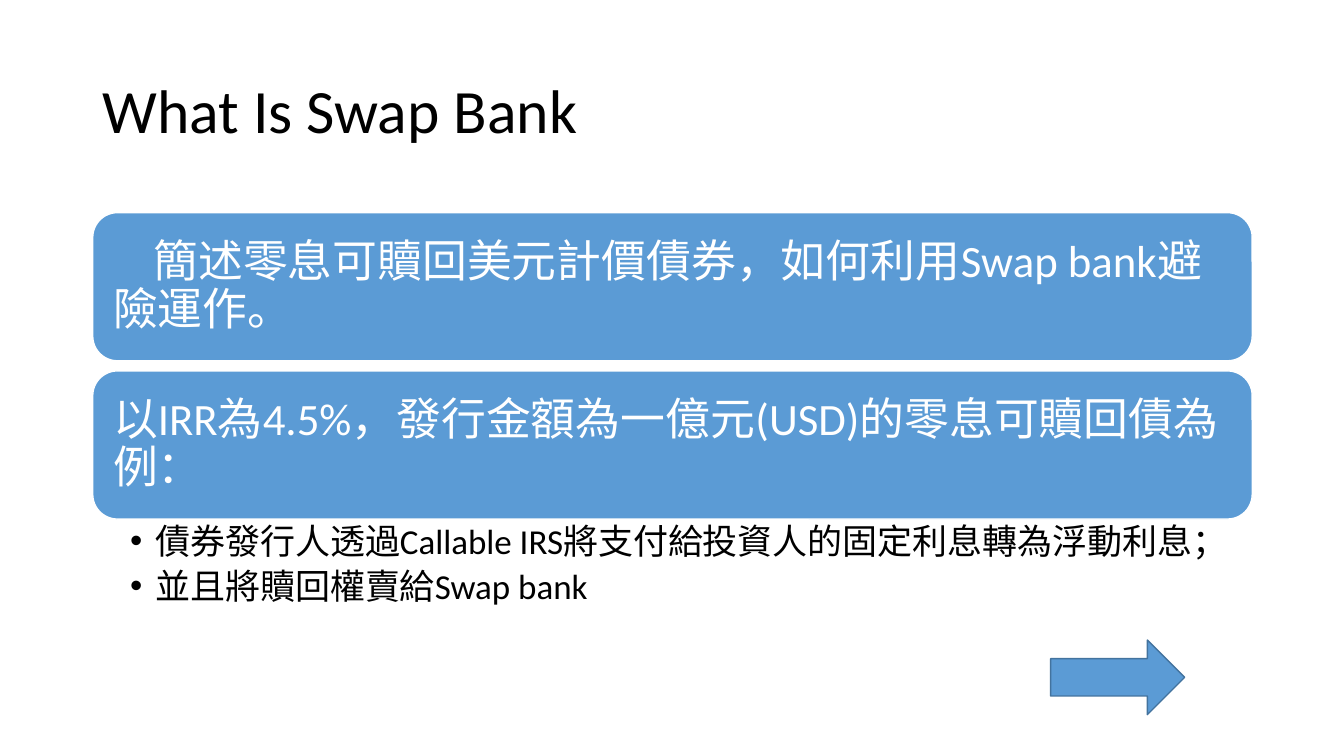
"""Build the slide that explains what a swap bank does."""
from lxml.etree import SubElement
from pptx import Presentation
from pptx.dml.color import RGBColor
from pptx.enum.shapes import MSO_SHAPE as Shape
from pptx.enum.text import MSO_ANCHOR as Anchor, PP_ALIGN as Align
from pptx.oxml.ns import qn
from pptx.util import Inches, Pt

BLACK = RGBColor(0x00, 0x00, 0x00)
WHITE = RGBColor(0xFF, 0xFF, 0xFF)
BLUE = RGBColor(0x5B, 0x9B, 0xD5)
DARK_BLUE = RGBColor(0x43, 0x73, 0x9E)

LEFT, WIDTH = Inches(0.92), Inches(11.5)
CARD_TOP, CARD_HEIGHT, CARD_STEP = Inches(2.11), Inches(1.47), Inches(1.57)
CARD_INSET = Inches(0.13)
BULLET_INDENT = Inches(0.25)

CARDS = [
    ("簡述零息可贖回美元計價債券，如何利用Swap bank避險運作。", Inches(0.4)),
    ("以IRR為4.5%，發行金額為一億元(USD)的零息可贖回債為例：", 0),
]
BULLETS = [
    "債券發行人透過Callable IRS將支付給投資人的固定利息轉為浮動利息；",
    "並且將贖回權賣給Swap bank",
]


def write(para, text, size, color, space_after=0):
    para.alignment = Align.LEFT
    para.line_spacing = 0.9
    para.space_after = Pt(space_after)
    run = para.add_run()
    run.text = text
    run.font.name = "Calibri"
    run.font.size = Pt(size)
    run.font.color.rgb = color


def add_block(kind, left, top, width, height, line_color):
    block = page.shapes.add_shape(kind, left, top, width, height)
    block.shadow.inherit = False
    block.fill.solid()
    block.fill.fore_color.rgb = BLUE
    block.line.color.rgb = line_color
    block.line.width = Pt(1)
    return block


deck = Presentation()
deck.slide_width, deck.slide_height = Inches(13.33), Inches(7.5)
page = deck.slides.add_slide(deck.slide_layouts[6])

title = page.shapes.add_textbox(LEFT, Inches(0.4), WIDTH, Inches(1.45)).text_frame
title.word_wrap = True
title.vertical_anchor = Anchor.MIDDLE
write(title.paragraphs[0], "What Is Swap Bank", 44, BLACK)

for row, (text, first_indent) in enumerate(CARDS):
    card = add_block(Shape.ROUNDED_RECTANGLE, LEFT, CARD_TOP + row * CARD_STEP,
                     WIDTH, CARD_HEIGHT, WHITE)
    frame = card.text_frame
    frame.word_wrap = True
    frame.vertical_anchor = Anchor.MIDDLE
    frame.margin_left = frame.margin_right = CARD_INSET
    frame.margin_top = frame.margin_bottom = CARD_INSET
    para = frame.paragraphs[0]
    para._p.get_or_add_pPr().set("indent", str(first_indent))
    write(para, text, 32, WHITE, 11)

details = page.shapes.add_textbox(LEFT, Inches(5.16), WIDTH, Inches(1.49)).text_frame
details.word_wrap = True
details.margin_left, details.margin_right = Inches(0.37), Inches(0.25)
details.margin_top = details.margin_bottom = Inches(0.04)
for row, text in enumerate(BULLETS):
    para = details.add_paragraph() if row else details.paragraphs[0]
    properties = para._p.get_or_add_pPr()
    properties.set("marL", str(BULLET_INDENT))
    properties.set("indent", str(-BULLET_INDENT))
    SubElement(properties, qn("a:buFont")).set("typeface", "Arial")
    SubElement(properties, qn("a:buChar")).set("char", "•")
    write(para, text, 25, BLACK, 5)

add_block(Shape.RIGHT_ARROW, Inches(10.42), Inches(6.35), Inches(1.33), Inches(0.74), DARK_BLUE)

deck.save("out.pptx")
